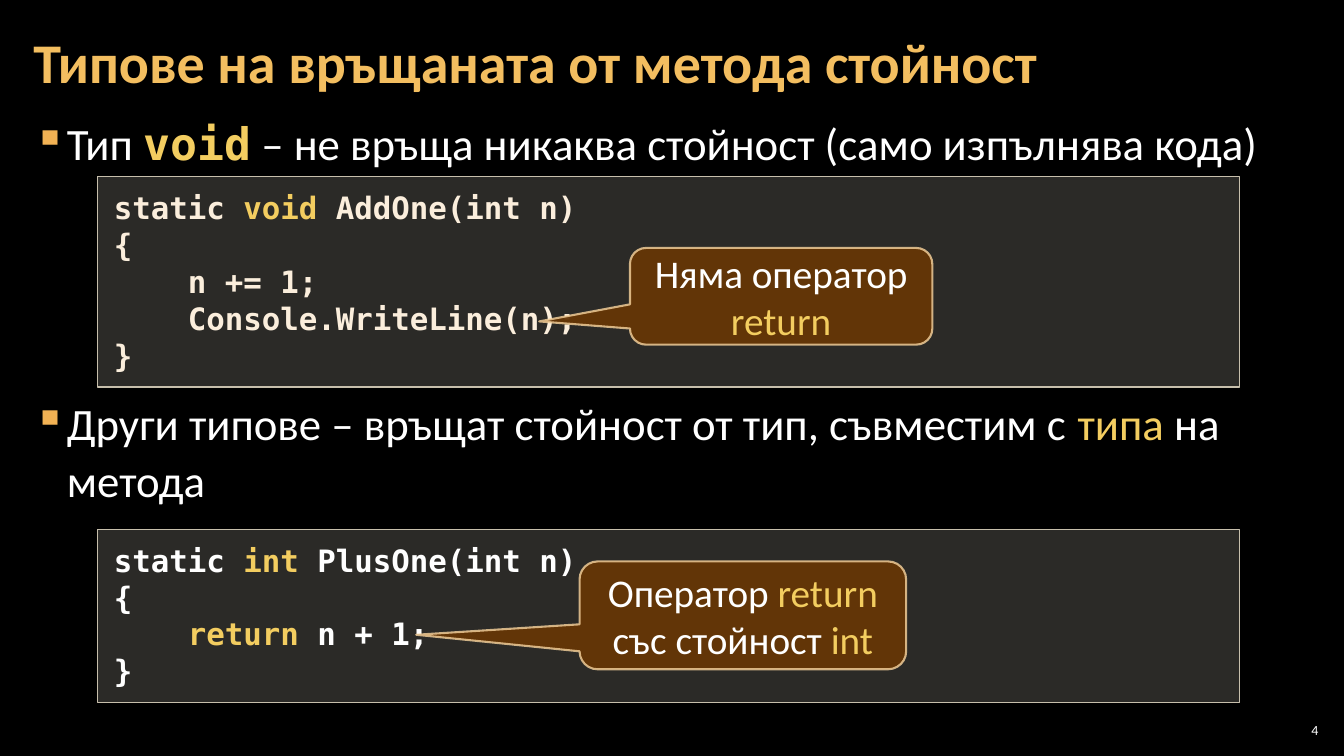
from dataclasses import dataclass

from pptx import Presentation
from pptx.dml.color import RGBColor
from pptx.enum.shapes import MSO_SHAPE
from pptx.enum.text import MSO_ANCHOR, PP_ALIGN
from pptx.oxml.ns import qn
from pptx.shapes.autoshape import Shape
from pptx.slide import Slide
from pptx.text.text import TextFrame, _Paragraph
from pptx.util import Pt
from lxml import etree

RECTANGLE = MSO_SHAPE.RECTANGLE
CALLOUT = MSO_SHAPE.ROUNDED_RECTANGULAR_CALLOUT
TOP, MIDDLE = MSO_ANCHOR.TOP, MSO_ANCHOR.MIDDLE
LEFT, CENTER, RIGHT = PP_ALIGN.LEFT, PP_ALIGN.CENTER, PP_ALIGN.RIGHT

BLACK = RGBColor(0x00, 0x00, 0x00)
WHITE = RGBColor(0xFF, 0xFF, 0xFF)
CREAM = RGBColor(0xFB, 0xEE, 0xDC)
YELLOW = RGBColor(0xF3, 0xCD, 0x60)
TITLE_GOLD = RGBColor(0xF3, 0xBE, 0x60)
BULLET_GOLD = RGBColor(0xF2, 0xB2, 0x54)
CODE_FILL = RGBColor(0xD9, 0xD5, 0xC7)
CODE_LINE = RGBColor(0xC7, 0xBF, 0xAC)
CALLOUT_FILL = RGBColor(0x66, 0x36, 0x06)
CALLOUT_LINE = RGBColor(0xF8, 0xD4, 0x9E)

TEXT_FONT, CODE_FONT = "Calibri", "DejaVu Sans Mono"
CODE_LEFT, CODE_WIDTH = 69.84, 815.76
TEXT_LEFT, TEXT_WIDTH = 15.12, 929.52
BULLET_INDENT = 24


@dataclass(frozen=True)
class TextStyle:
    size: float
    color: RGBColor = WHITE
    font: str = TEXT_FONT
    bold: bool = False
    align: PP_ALIGN = LEFT


@dataclass(frozen=True)
class CodeBox:
    top: float
    height: float
    color: RGBColor
    lines: tuple[str, ...]


@dataclass(frozen=True)
class Callout:
    left: float
    top: float
    width: float
    height: float
    tip: tuple[float, float]
    text: str


TITLE_STYLE = TextStyle(40, TITLE_GOLD, bold=True)
BODY_STYLE = TextStyle(32)
CALLOUT_STYLE = TextStyle(28, align=CENTER)
NUMBER_STYLE = TextStyle(10, align=RIGHT)

# Text between bars is highlighted.
BULLETS = (
    "Тип |void| – не връща никаква стойност (само изпълнява кода)",
    "Други типове – връщат стойност от тип, съвместим с |типа| на метода",
)
CODE_BOXES = (
    CodeBox(126, 150.48, CREAM, (
        "static |void| AddOne(int n)",
        "{",
        "    n += 1;",
        "    Console.WriteLine(n);",
        "}",
    )),
    CodeBox(378, 123.84, WHITE, (
        "static |int| PlusOne(int n)",
        "{",
        "    |return| n + 1;",
        "}",
    )),
)
CALLOUTS = (
    Callout(450, 177.12, 216, 69.12, (-0.8, 0.26), "Няма оператор |return|"),
    Callout(414, 401.04, 233.28, 77.04, (-1, 0.18),
            "Оператор |return| със стойност |int|"),
)


def write_paragraph(paragraph: _Paragraph, text: str, style: TextStyle) -> None:
    """Write text as runs, colouring the parts between bars yellow."""
    paragraph.alignment = style.align
    for index, part in enumerate(text.split("|")):
        if not part:
            continue
        run = paragraph.add_run()
        run.text = part
        run.font.name = style.font
        run.font.size = Pt(style.size)
        run.font.bold = style.bold
        run.font.color.rgb = YELLOW if index % 2 else style.color


def write_lines(frame: TextFrame, lines: tuple[str, ...], style: TextStyle) -> None:
    for index, line in enumerate(lines):
        paragraph = frame.add_paragraph() if index else frame.paragraphs[0]
        write_paragraph(paragraph, line, style)


def set_frame(frame: TextFrame, anchor: MSO_ANCHOR, side: float, edge: float) -> None:
    """Wrap the text and set its anchor and margins."""
    frame.word_wrap = True
    frame.vertical_anchor = anchor
    frame.margin_left = frame.margin_right = Pt(side)
    frame.margin_top = frame.margin_bottom = Pt(edge)


def add_text(slide: Slide, left: float, top: float, width: float, height: float,
             anchor: MSO_ANCHOR, side: float = 8.64) -> TextFrame:
    box = slide.shapes.add_textbox(Pt(left), Pt(top), Pt(width), Pt(height))
    set_frame(box.text_frame, anchor, side, 2.88)
    return box.text_frame


def add_bullet(paragraph: _Paragraph) -> None:
    properties = paragraph._p.get_or_add_pPr()
    properties.set("marL", str(Pt(BULLET_INDENT)))
    properties.set("indent", str(-Pt(BULLET_INDENT)))
    color = etree.SubElement(properties, qn("a:buClr"))
    etree.SubElement(color, qn("a:srgbClr"), val=str(BULLET_GOLD))
    etree.SubElement(properties, qn("a:buChar"), char="▪")


def set_opacity(shape: Shape, color: RGBColor, percent: int) -> None:
    """Make every use of the colour in the shape's fill and line translucent."""
    for element in shape._element.spPr.iter(qn("a:srgbClr")):
        if element.get("val") == str(color):
            etree.SubElement(element, qn("a:alpha"), val=str(percent * 1000))


def add_panel(slide: Slide, kind: MSO_SHAPE, left: float, top: float, width: float,
              height: float, fill: RGBColor, line: RGBColor, line_width: float) -> Shape:
    shape = slide.shapes.add_shape(kind, Pt(left), Pt(top), Pt(width), Pt(height))
    shape.shadow.inherit = False
    shape.fill.solid()
    shape.fill.fore_color.rgb = fill
    shape.line.color.rgb = line
    shape.line.width = Pt(line_width)
    return shape


def add_code_box(slide: Slide, code: CodeBox) -> None:
    shape = add_panel(slide, RECTANGLE, CODE_LEFT, code.top, CODE_WIDTH, code.height,
                      CODE_FILL, CODE_LINE, 1)
    set_opacity(shape, CODE_FILL, 20)
    set_frame(shape.text_frame, TOP, 11.52, 8.64)
    write_lines(shape.text_frame, code.lines,
                TextStyle(22, code.color, CODE_FONT, bold=True))


def add_callout(slide: Slide, callout: Callout) -> None:
    shape = add_panel(slide, CALLOUT, callout.left, callout.top, callout.width,
                      callout.height, CALLOUT_FILL, CALLOUT_LINE, 1.5)
    shape.adjustments[0], shape.adjustments[1] = callout.tip
    set_opacity(shape, CALLOUT_FILL, 95)
    set_opacity(shape, CALLOUT_LINE, 80)
    set_frame(shape.text_frame, MIDDLE, 7.2, 3.6)
    write_lines(shape.text_frame, (callout.text,), CALLOUT_STYLE)


def add_body(slide: Slide) -> None:
    frame = add_text(slide, TEXT_LEFT, 77.76, TEXT_WIDTH, 451.44, TOP)
    write_lines(frame, BULLETS, BODY_STYLE)
    for paragraph in frame.paragraphs:
        paragraph.line_spacing = 1.05
        paragraph.space_after = Pt(6)
        add_bullet(paragraph)
    first, second = frame.paragraphs
    second.space_before = Pt(154)
    keyword = first.runs[1].font
    keyword.name = CODE_FONT
    keyword.bold = True


def main() -> None:
    presentation = Presentation()
    presentation.slide_width, presentation.slide_height = Pt(960), Pt(540)
    slide = presentation.slides.add_slide(presentation.slide_layouts[6])
    slide.background.fill.solid()
    slide.background.fill.fore_color.rgb = BLACK

    add_body(slide)
    title = add_text(slide, TEXT_LEFT, 2.88, TEXT_WIDTH, 87.12, MIDDLE)
    write_lines(title, ("Типове на връщаната от метода стойност",), TITLE_STYLE)
    title.paragraphs[0].line_spacing = 0.9
    for code in CODE_BOXES:
        add_code_box(slide, code)
    for callout in CALLOUTS:
        add_callout(slide, callout)
    number = add_text(slide, 910.8, 514.08, 33.84, 15.12, MIDDLE, side=2.88)
    write_lines(number, ("4",), NUMBER_STYLE)
    presentation.save("out.pptx")


if __name__ == "__main__":
    main()
